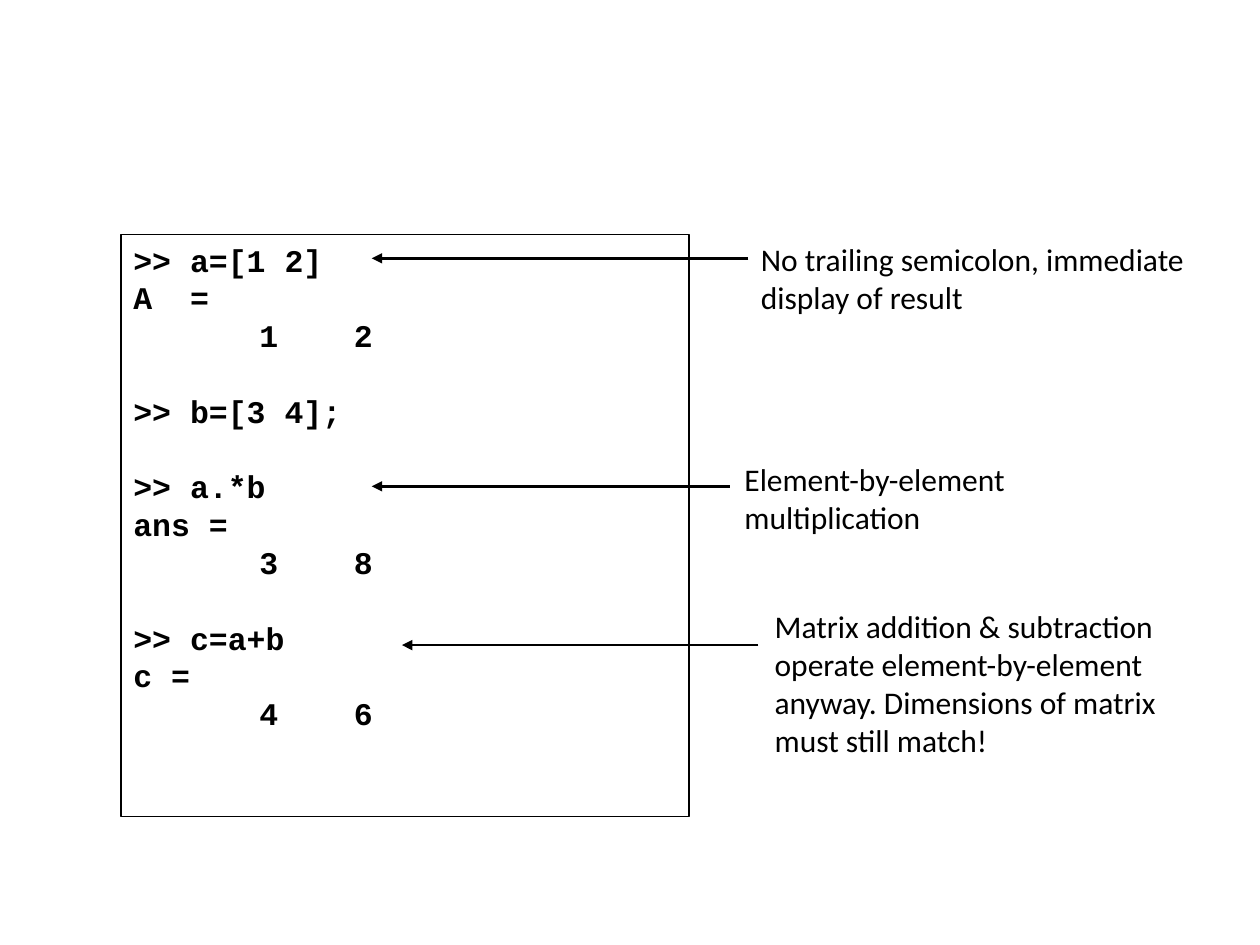
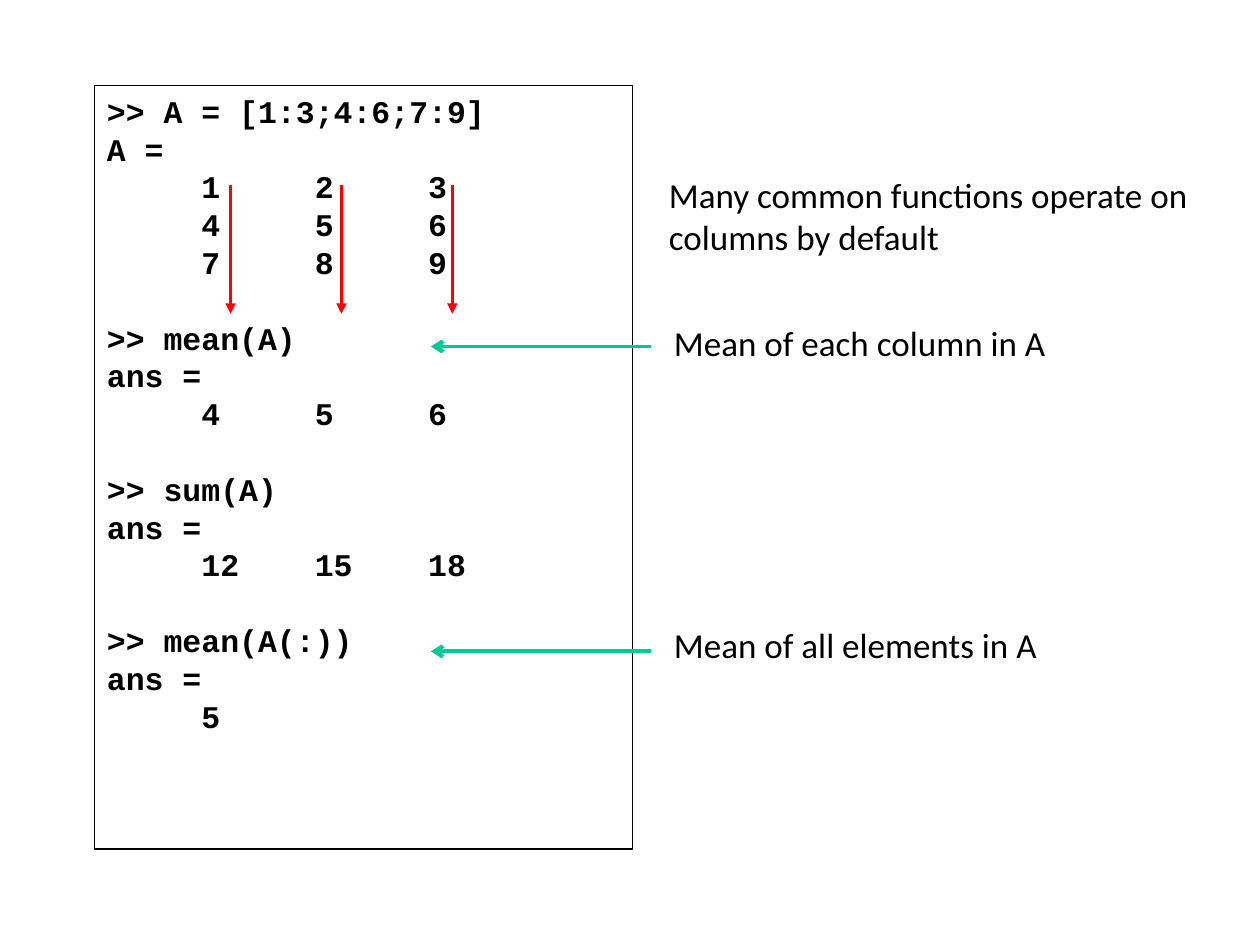
from collections import namedtuple

from lxml.etree import SubElement
from pptx import Presentation
from pptx.dml.color import RGBColor
from pptx.enum.shapes import MSO_CONNECTOR, MSO_SHAPE
from pptx.enum.text import MSO_ANCHOR, PP_ALIGN
from pptx.oxml.ns import qn
from pptx.util import Inches, Pt

COLORS = {"ink": "000000", "paper": "FFFFFF", "column": "FF0000", "pointer": "00C896"}
CODE_FONT = "Courier New"
NOTE_FONT = "Calibri"
CODE_SIZE = 18
LINE_FACTOR = 1.2
BLANK_LAYOUT = 6

Box = namedtuple("Box", "left top width height")


def color(name):
    return RGBColor.from_string(COLORS[name])


def add_text(para, text, font=NOTE_FONT, size=18, bold=False, gap_before=0, tab_stops=()):
    para.alignment = PP_ALIGN.LEFT
    para.line_spacing = Pt(size * LINE_FACTOR)
    para.space_before = Pt(gap_before)
    span = para.add_run()
    span.text = text
    span.font.name = font
    span.font.size = Pt(size)
    span.font.bold = bold
    span.font.color.rgb = color("ink")
    if tab_stops:
        tab_list = SubElement(para._p.get_or_add_pPr(), qn("a:tabLst"))
        for stop in tab_stops:
            SubElement(tab_list, qn("a:tab"), pos=str(Inches(stop)), algn="l")


def add_arrow(slide, start, end, tint="ink", width=1.5, head="triangle"):
    points = [Inches(value) for value in (*start, *end)]
    arrow = slide.shapes.add_connector(MSO_CONNECTOR.STRAIGHT, *points)
    arrow.line.color.rgb = color(tint)
    arrow.line.width = Pt(width)
    SubElement(arrow.line._get_or_add_ln(), qn("a:tailEnd"), type=head)
    SubElement(arrow._element.spPr, qn("a:effectLst"))


def add_note(slide, box, text, size):
    note = slide.shapes.add_textbox(*map(Inches, box))
    note.text_frame.word_wrap = True
    add_text(note.text_frame.paragraphs[0], text, size=size)


def add_console(slide, box, commands, tab_stops):
    console = slide.shapes.add_shape(MSO_SHAPE.RECTANGLE, *map(Inches, box))
    console.shadow.inherit = False
    console.fill.solid()
    console.fill.fore_color.rgb = color("paper")
    console.line.color.rgb = color("ink")
    console.line.width = Pt(0.75)
    frame = console.text_frame
    frame.word_wrap = True
    frame.vertical_anchor = MSO_ANCHOR.TOP
    para = frame.paragraphs[0]
    for command_index, lines in enumerate(commands):
        for line_index, line in enumerate(lines):
            if command_index or line_index:
                para = frame.add_paragraph()
            starts_command = command_index and not line_index
            add_text(para, line, font=CODE_FONT, size=CODE_SIZE, bold=True,
                     gap_before=CODE_SIZE * LINE_FACTOR if starts_command else 0,
                     tab_stops=tab_stops if "\t" in line else ())


def build_elementwise_slide(slide, box):
    commands = [
        [">> a=[1 2]", "A\t=", "\t\t1\t2"],
        [">> b=[3 4];"],
        [">> a.*b", "ans =", "\t\t3\t8"],
        [">> c=a+b", "c =", "\t\t4\t6"],
    ]
    add_console(slide, box, commands, tab_stops=(0.45, 1, 1.75))
    notes = [
        ("Matrix addition & subtraction operate element-by-element anyway. "
         "Dimensions of matrix must still match!",
         Box(5.09, 2.91, 3.44, 1.3), 5.06, 2.23, 3.26),
        ("No trailing semicolon, immediate display of result",
         Box(4.98, 0, 3.78, 0.7), 4.98, 1.99, 0.19),
        ("Element-by-element multiplication",
         Box(4.85, 1.74, 3.44, 0.7), 4.83, 1.99, 2),
    ]
    for text, place, arrow_from, arrow_to, arrow_top in notes:
        note_box = place._replace(left=box.left + place.left, top=box.top + place.top)
        add_note(slide, note_box, text, size=18)
        level = box.top + arrow_top
        add_arrow(slide, (box.left + arrow_from, level), (box.left + arrow_to, level))


def build_column_slide(slide, box):
    commands = [
        [">> A = [1:3;4:6;7:9]", "A =", "\t1\t2\t3", "\t4\t5\t6", "\t7\t8\t9"],
        [">> mean(A)", "ans =", "\t4\t5\t6"],
        [">> sum(A)", "ans =", "\t12\t15\t18"],
        [">> mean(A(:))", "ans =", "\t5"],
    ]
    add_console(slide, box, commands, tab_stops=(0.75, 1.65, 2.55))
    for column in range(3):
        across = box.left + 1.08 + 0.88 * column
        add_arrow(slide, (across, box.top + 0.79), (across, box.top + 1.81), tint="column")
    add_note(slide, Box(box.left + 4.46, box.top + 0.65, 4.35, 0.77),
             "Many common functions operate on columns by default", size=20)
    results = [("Mean of each column in A", 1.82, 2.07),
               ("Mean of all elements in A", 4.22, 4.49)]
    for text, note_top, arrow_top in results:
        add_note(slide, Box(box.left + 4.5, box.top + note_top, 4.35, 0.44), text, size=20)
        level = box.top + arrow_top
        add_arrow(slide, (box.left + 4.42, level), (box.left + 2.67, level),
                  tint="pointer", width=2.25, head="arrow")


def main():
    deck = Presentation()
    deck.slide_width = Inches(10)
    deck.slide_height = Inches(7.5)
    pages = [(build_elementwise_slide, Box(0.96, 1.86, 4.51, 4.62)),
             (build_column_slide, Box(0.75, 0.68, 4.27, 6.06))]
    for build, console_box in pages:
        build(deck.slides.add_slide(deck.slide_layouts[BLANK_LAYOUT]), console_box)
    deck.save("out.pptx")


if __name__ == "__main__":
    main()
